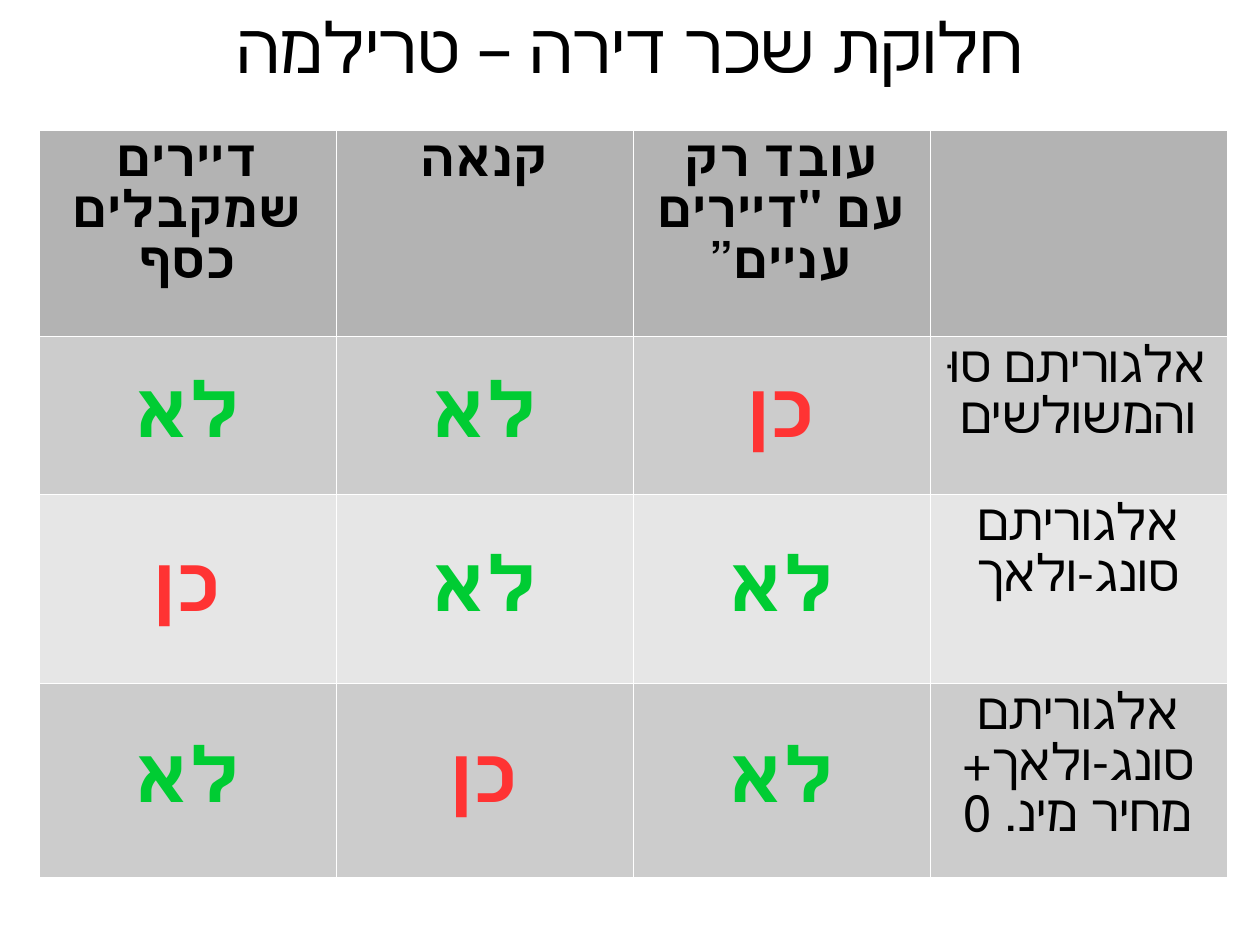
import pptx
import pptx.dml.color
import pptx.enum.text
import pptx.oxml
import pptx.oxml.ns
import pptx.util
from pptx.dml.color import RGBColor
from pptx.util import Cm

BLACK = RGBColor(0x00, 0x00, 0x00)
GREEN = RGBColor(0x00, 0xCC, 0x33)
RED = RGBColor(0xFF, 0x33, 0x33)
WHITE = RGBColor(0xFF, 0xFF, 0xFF)
HEADER_GRAY = RGBColor(0xB3, 0xB3, 0xB3)
DARK_GRAY = RGBColor(0xCC, 0xCC, 0xCC)
LIGHT_GRAY = RGBColor(0xE6, 0xE6, 0xE6)

FONT = "Arial"
BORDER_WIDTH = pptx.util.Pt(0.06)
COLUMN_WIDTH = Cm(6.6)
ROW_HEIGHTS = [Cm(4.57), Cm(3.51), Cm(4.2), Cm(4.3)]
ROW_FILLS = [HEADER_GRAY, DARK_GRAY, LIGHT_GRAY, DARK_GRAY]

YES, NO = "כן", "לא"
ANSWER_COLORS = {YES: RED, NO: GREEN}
ROWS = [
    ["דיירים שמקבלים כסף", "קנאה", 'עובד רק עם "דיירים עניים”', ""],
    [NO, NO, YES, "אלגוריתם סוּ והמשולשים"],
    [YES, NO, NO, "אלגוריתם סונג-ולאך"],
    [NO, YES, NO, "אלגוריתם סונג-ולאך+ מחיר מינ. 0"],
]


def write_text(text_frame, text, size=32, color=BLACK, bold=False):
    """Write one centred right-to-left paragraph."""
    paragraph = text_frame.paragraphs[0]
    paragraph.alignment = pptx.enum.text.PP_ALIGN.CENTER
    paragraph._p.get_or_add_pPr().set("rtl", "1")
    run = paragraph.add_run()
    run.text = text
    run.font.name = FONT
    run.font.size = pptx.util.Pt(size)
    run.font.bold = bold
    run.font.color.rgb = color


def add_borders(cell):
    properties = cell._tc.get_or_add_tcPr()
    for side in ("lnL", "lnR", "lnT", "lnB"):
        properties.append(pptx.oxml.parse_xml(
            f'<a:{side} {pptx.oxml.ns.nsdecls("a")} w="{BORDER_WIDTH}">'
            f'<a:solidFill><a:srgbClr val="{WHITE}"/></a:solidFill></a:{side}>'))


def format_title(slide, text):
    title = slide.shapes.title
    title.left, title.top = Cm(0), Cm(-0.25)
    title.width, title.height = Cm(28), Cm(2.54)
    frame = title.text_frame
    frame.margin_left = frame.margin_right = Cm(0)
    frame.margin_top = frame.margin_bottom = Cm(0)
    frame.vertical_anchor = pptx.enum.text.MSO_ANCHOR.MIDDLE
    write_text(frame, text, size=44)


def fill_cell(cell, text, fill, is_header):
    add_borders(cell)
    cell.fill.solid()
    cell.fill.fore_color.rgb = fill
    if text in ANSWER_COLORS:
        cell.vertical_anchor = pptx.enum.text.MSO_ANCHOR.MIDDLE
        write_text(cell.text_frame, text, size=48,
                   color=ANSWER_COLORS[text], bold=True)
    elif text:
        write_text(cell.text_frame, text, bold=is_header)


def add_comparison_table(slide):
    column_count = len(ROWS[0])
    table = slide.shapes.add_table(
        len(ROWS), column_count, Cm(0.86), Cm(2.9),
        COLUMN_WIDTH * column_count, sum(ROW_HEIGHTS)).table
    for column in table.columns:
        column.width = COLUMN_WIDTH
    for row_index, texts in enumerate(ROWS):
        table.rows[row_index].height = ROW_HEIGHTS[row_index]
        for column_index, text in enumerate(texts):
            fill_cell(table.cell(row_index, column_index), text,
                      ROW_FILLS[row_index], is_header=row_index == 0)


def main():
    presentation = pptx.Presentation()
    presentation.slide_width, presentation.slide_height = Cm(28), Cm(21)
    title_only = presentation.slide_layouts[5]
    slide = presentation.slides.add_slide(title_only)

    # Title
    format_title(slide, "חלוקת שכר דירה – טרילמה")

    # Comparison of the three algorithms
    add_comparison_table(slide)

    presentation.save("out.pptx")


if __name__ == "__main__":
    main()
